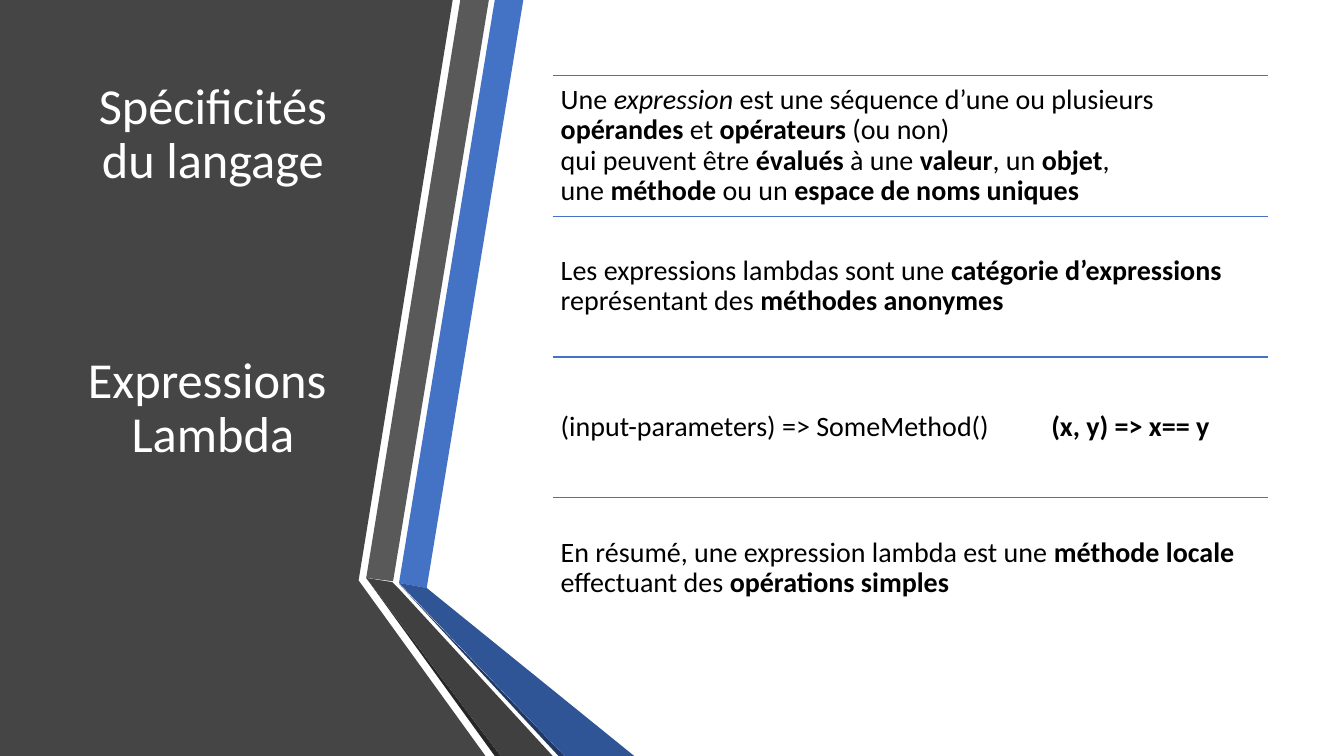
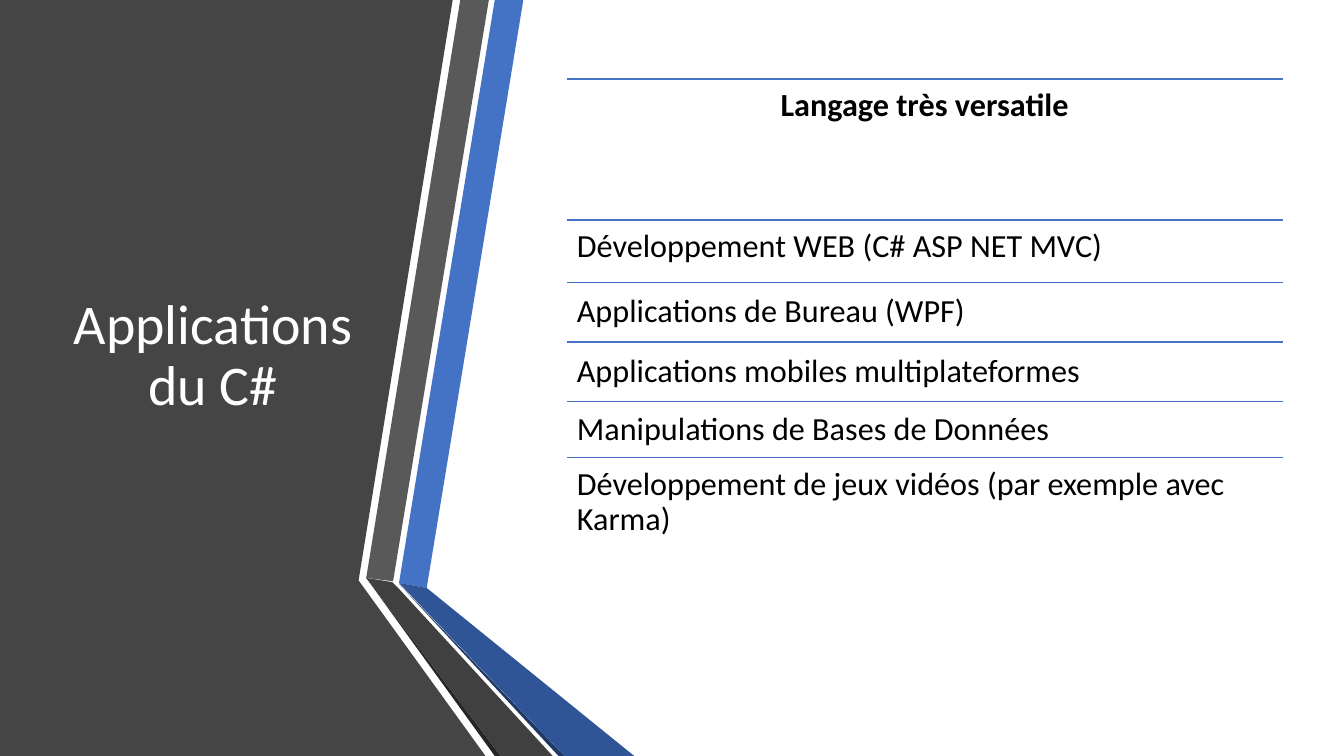
from pptx import Presentation
from pptx import util as u
from pptx.dml.color import RGBColor
from pptx.enum import shapes, text
from pptx.oxml.ns import qn
from lxml import etree

COLUMNS, ROWS = 160, 90
MODULE = u.Inches(7.5 / ROWS)
FONT = "Calibri"
WHITE = RGBColor(0xFF, 0xFF, 0xFF)
BLACK = RGBColor(0x00, 0x00, 0x00)
BLUE = RGBColor(0x44, 0x72, 0xC4)
DEEP_BLUE = RGBColor(0x2F, 0x55, 0x97)
NAVY = RGBColor(0x20, 0x38, 0x64)
PANEL_GREY = RGBColor(0x45, 0x45, 0x45)
MID_GREY = RGBColor(0x59, 0x59, 0x59)
CHARCOAL = RGBColor(0x40, 0x40, 0x40)
INK = RGBColor(0x26, 0x26, 0x26)

BANDS = [
    (PANEL_GREY, [(0, 0), (53.9, 0), (42.7, 69.1), (57.8, 90), (0, 90)]),
    (BLUE, [(47.5, 69.4), (50.8, 70), (62.3, 0), (58.9, 0)]),
    (MID_GREY, [(58.2, 0), (54.8, 0), (43.6, 68.8), (46.8, 69.2)]),
    (INK, [(43.6, 68.8), (58.9, 90), (59.6, 90)]),
    (NAVY, [(47.5, 69.5), (66.5, 90), (67.2, 90)]),
    (DEEP_BLUE, [(47.5, 69.4), (67.2, 90), (75.5, 90), (50.8, 70)]),
    (CHARCOAL, [(43.6, 68.8), (59.6, 90), (65.8, 90), (47.4, 70), (46.7, 69.3)]),
]
ROW_WIDTH = 85.2
TAB_STOP = 58.4
TOP, MIDDLE = text.MSO_ANCHOR.TOP, text.MSO_ANCHOR.MIDDLE
LEFT, CENTER = text.PP_ALIGN.LEFT, text.PP_ALIGN.CENTER

LAMBDA_ROWS = [
    "Une _expression_ est une séquence d’une ou plusieurs *opérandes* et *opérateurs* (ou non)\n"
    "qui peuvent être *évalués* à une *valeur*, un *objet*,\n"
    "une *méthode* ou un *espace de noms uniques*",
    "Les expressions lambdas sont une *catégorie d’expressions* représentant des *méthodes anonymes*",
    "(input-parameters) => SomeMethod()*\t(x, y) => x== y*",
    "En résumé, une expression lambda est une *méthode locale* effectuant des *opérations simples*",
]
APPLICATION_ROWS = [
    (16.8, "*Langage très versatile*", TOP, CENTER),
    (7.4, "Développement WEB (C# ASP NET MVC)", TOP, LEFT),
    (7.1, "Applications de Bureau (WPF)", MIDDLE, LEFT),
    (7.1, "Applications mobiles multiplateformes", MIDDLE, LEFT),
    (6.7, "Manipulations de Bases de Données", MIDDLE, LEFT),
    (13, "Développement de jeux vidéos (par exemple avec Karma)", TOP, LEFT),
]


def grid(count):
    return u.Emu(round(count * MODULE))


def add_band(slide, color, points):
    corners = [(grid(x), grid(y)) for x, y in points]
    builder = slide.shapes.build_freeform(*corners[0])
    builder.add_line_segments(corners[1:], close=True)
    shape = builder.convert_to_shape()
    shape.shadow.inherit = False
    shape.fill.solid()
    shape.fill.fore_color.rgb = color
    shape.line.fill.background()


def add_rule(slide, left, top):
    rule = slide.shapes.add_connector(
        shapes.MSO_CONNECTOR.STRAIGHT, grid(left), grid(top), grid(left + ROW_WIDTH), grid(top))
    rule.line.color.rgb = BLUE
    rule.line.width = u.Pt(1)
    etree.SubElement(rule.element.spPr, qn("a:effectLst"))


def add_frame(slide, left, top, width, height, anchor):
    frame = slide.shapes.add_textbox(*map(grid, (left, top, width, height))).text_frame
    frame.word_wrap = True
    frame.vertical_anchor = anchor
    return frame


def add_tab_stop(paragraph, position):
    tabs = etree.SubElement(paragraph._p.get_or_add_pPr(), qn("a:tabLst"))
    etree.SubElement(tabs, qn("a:tab"), pos=str(grid(position)), algn="l")


def write(paragraph, content, size, color, align):
    if "\t" in content:
        add_tab_stop(paragraph, TAB_STOP)
    paragraph.alignment = align
    paragraph.line_spacing = 0.9
    paragraph.font.name = FONT
    paragraph.font.size = u.Pt(size)
    paragraph.font.color.rgb = color
    for line_number, line in enumerate(content.split("\n")):
        if line_number:
            paragraph.add_line_break()
        for bold_number, piece in enumerate(line.split("*")):
            for italic_number, words in enumerate(piece.split("_")):
                if words:
                    run = paragraph.add_run()
                    run.text = words
                    if bold_number % 2:
                        run.font.bold = True
                    if italic_number % 2:
                        run.font.italic = True


def add_title(slide, parts, size, anchor, gap=0):
    frame = add_frame(slide, 7.1, 9, 36.5, 67, anchor)
    for number, part in enumerate(parts):
        paragraph = frame.add_paragraph() if number else frame.paragraphs[0]
        write(paragraph, part, size, WHITE, CENTER)
        if number:
            paragraph.space_before = u.Pt(gap)


def add_rows(slide, left, top, rows, size, inset):
    for height, content, anchor, align in rows:
        add_rule(slide, left, top)
        frame = add_frame(slide, left, top, ROW_WIDTH, height, anchor)
        frame.margin_left = frame.margin_right = u.Inches(inset)
        frame.margin_top = frame.margin_bottom = u.Inches(inset)
        write(frame.paragraphs[0], content, size, BLACK, align)
        top += height


def add_banded_slide(presentation):
    slide = presentation.slides.add_slide(presentation.slide_layouts[6])
    for color, points in BANDS:
        add_band(slide, color, points)
    return slide


def main():
    presentation = Presentation()
    presentation.slide_width = grid(COLUMNS)
    presentation.slide_height = grid(ROWS)

    slide = add_banded_slide(presentation)
    add_title(slide, ["Spécificités\ndu langage", "Expressions \nLambda"], 36, TOP, gap=118)
    lambda_rows = [(16.75, content, MIDDLE, LEFT) for content in LAMBDA_ROWS]
    add_rows(slide, 65.8, 9, lambda_rows, 20, 0.08)

    slide = add_banded_slide(presentation)
    add_title(slide, ["Applications\ndu C#"], 40, MIDDLE)
    add_rows(slide, 67.5, 9.4, APPLICATION_ROWS, 23, 0.1)

    presentation.save("out.pptx")


if __name__ == "__main__":
    main()
